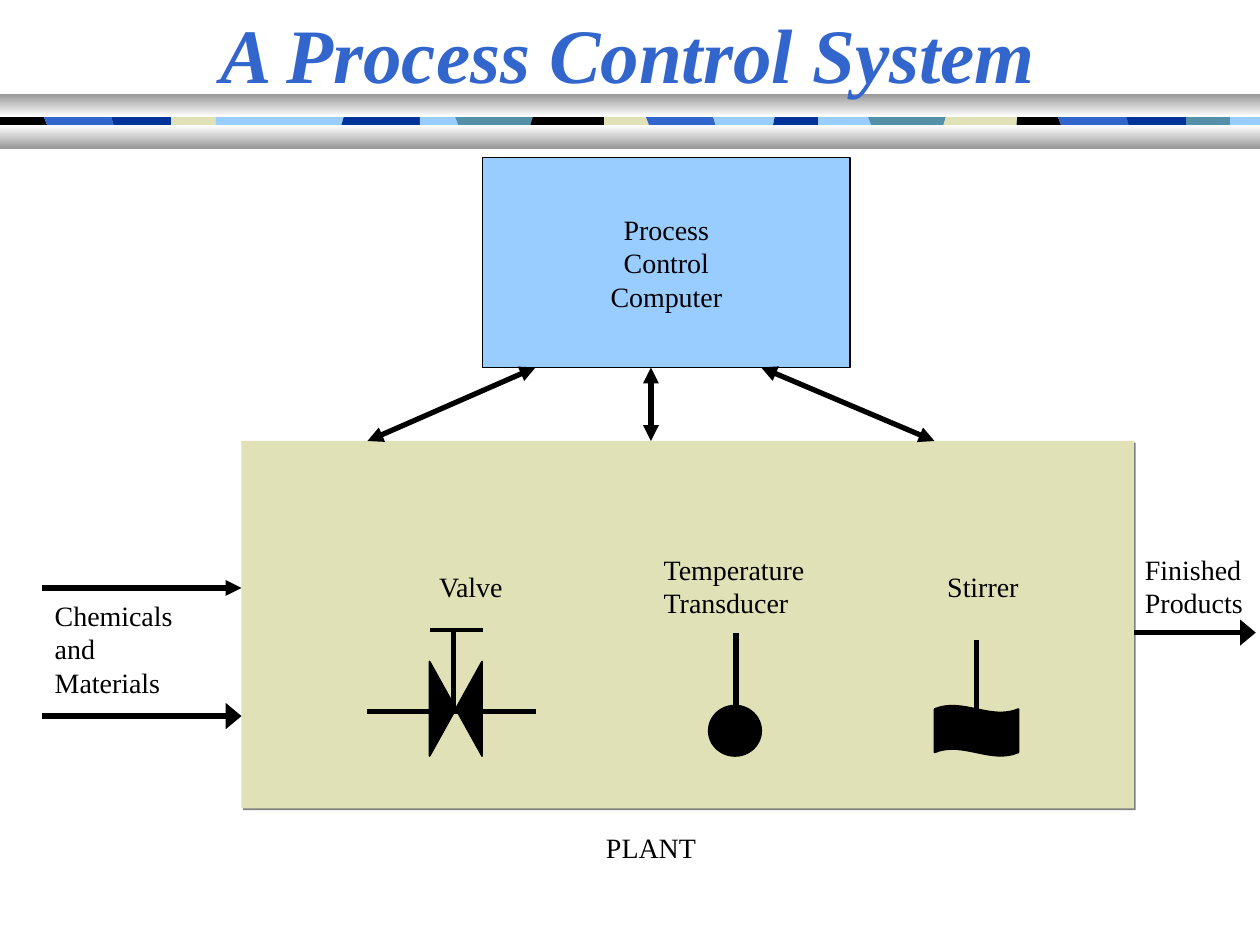
from dataclasses import dataclass

from lxml import etree
from pptx import Presentation
from pptx.dml.color import RGBColor
from pptx.enum.shapes import MSO_CONNECTOR, MSO_SHAPE
from pptx.enum.text import MSO_ANCHOR, MSO_AUTO_SIZE, PP_ALIGN
from pptx.oxml.ns import qn
from pptx.util import Pt

RECTANGLE = MSO_SHAPE.RECTANGLE
OVAL = MSO_SHAPE.OVAL
WAVE = MSO_SHAPE.WAVE
COLLATE = MSO_SHAPE.FLOWCHART_COLLATE
STRAIGHT = MSO_CONNECTOR.STRAIGHT
LEFT, CENTER = PP_ALIGN.LEFT, PP_ALIGN.CENTER
TOP, MIDDLE = MSO_ANCHOR.TOP, MSO_ANCHOR.MIDDLE
NO_FIT = MSO_AUTO_SIZE.NONE

FONT = "Times New Roman"
BLACK, WHITE, GRAY = "000000", "FFFFFF", "999999"
BLUE, NAVY, SKY = "3366CC", "003399", "99CCFF"
TEAL, SAND = "5490A8", "E1E1B7"
RIBBON_TOP, RIBBON_HEIGHT = 61.2, 20.2


@dataclass
class Segment:
    """A ribbon piece: its colour, the middle of its right edge and that edge's lean."""
    color: str
    right: float
    lean: float = 0


@dataclass
class Line:
    x1: float
    y1: float
    x2: float
    y2: float
    width: float = 3
    start_arrow: bool = False
    end_arrow: bool = False
    arrow_width: str = "med"


@dataclass
class Label:
    text: str
    left: float
    top: float
    width: float
    height: float


SEGMENTS = [
    Segment(BLACK, 26.9, 8), Segment(BLUE, 64.9, 6), Segment(NAVY, 97.6),
    Segment(SAND, 123.1), Segment(SKY, 195.2, -6), Segment(NAVY, 240),
    Segment(SKY, 261.8, 8), Segment(TEAL, 303.2, -6), Segment(BLACK, 345.2),
    Segment(SAND, 370.9, 8), Segment(BLUE, 408.9, 6), Segment(SKY, 441.8, -4),
    Segment(NAVY, 467.5), Segment(SKY, 497.8, 8), Segment(TEAL, 539.2, -6),
    Segment(SAND, 580.9, -2), Segment(BLACK, 606.3, 8), Segment(BLUE, 644.9, 6),
    Segment(NAVY, 677.8), Segment(TEAL, 703.1), Segment(SKY, 720),
]
VALVE_LINES = [
    Line(210, 406.5, 258, 406.5), Line(258, 406.5, 306, 406.5),
    Line(259, 360, 259, 406.5), Line(245.8, 360, 275.8, 360, width=2.25),
]
TRANSDUCER_LINE = Line(420.6, 403.2, 420.6, 361.5)
STIRRER_LINE = Line(558, 408, 558, 366)
FLOW_LINES = [
    Line(24, 336, 138, 336, end_arrow=True),
    Line(24, 409.2, 138, 409.2, end_arrow=True, arrow_width="lg"),
    Line(306, 210, 210, 252, start_arrow=True, end_arrow=True),
    Line(372, 210, 372, 252, start_arrow=True, end_arrow=True),
    Line(435, 210, 534, 252, start_arrow=True, end_arrow=True),
    Line(648, 361.5, 717.6, 361.5, end_arrow=True, arrow_width="lg"),
]
LABELS = [
    Label("Chemicals\nand\nMaterials", 24.2, 338.4, 83, 64.8),
    Label("Valve", 243.8, 321.8, 54, 26.6),
    Label("Temperature\nTransducer", 372.2, 312, 97, 46),
    Label("Stirrer", 534.2, 321.8, 57, 26.6),
    Label("Finished\nProducts", 647.2, 312, 72, 46),
    Label("PLANT", 339.2, 471, 68, 26.6),
]


def rgb(color: str) -> RGBColor:
    return RGBColor.from_string(color)


def paint(shape, fill: str, outline: str | None = None) -> None:
    shape.shadow.inherit = False
    shape.fill.solid()
    shape.fill.fore_color.rgb = rgb(fill)
    if outline is None:
        shape.line.fill.background()
    else:
        shape.line.color.rgb = rgb(outline)
        shape.line.width = Pt(1)


def add_preset(slide, kind, left: float, top: float, width: float, height: float,
               fill: str, outline: str | None = None):
    shape = slide.shapes.add_shape(kind, Pt(left), Pt(top), Pt(width), Pt(height))
    paint(shape, fill, outline)
    return shape


def write_text(shape, text: str, *, size: float = 16, color: str = BLACK,
               bold: bool = False, italic: bool = False, align=LEFT,
               anchor=TOP, wrap: bool = True) -> None:
    frame = shape.text_frame
    frame.word_wrap = wrap
    frame.auto_size = NO_FIT
    frame.vertical_anchor = anchor
    frame.text = text
    for paragraph in frame.paragraphs:
        paragraph.alignment = align
        font = paragraph.font
        font.name, font.size = FONT, Pt(size)
        font.bold, font.italic = bold, italic
        font.color.rgb = rgb(color)


def add_line(slide, line: Line) -> None:
    connector = slide.shapes.add_connector(
        STRAIGHT, Pt(line.x1), Pt(line.y1), Pt(line.x2), Pt(line.y2))
    connector.line.color.rgb = rgb(BLACK)
    connector.line.width = Pt(line.width)
    outline = connector.line._get_or_add_ln()
    for tag, wanted in (("a:headEnd", line.start_arrow), ("a:tailEnd", line.end_arrow)):
        if wanted:
            etree.SubElement(outline, qn(tag), type="triangle",
                             w=line.arrow_width, len="med")
    etree.SubElement(connector._element.spPr, qn("a:effectLst"))


def add_ribbon(slide) -> None:
    bottom = RIBBON_TOP + RIBBON_HEIGHT
    previous = Segment(BLACK, 0)
    for segment in SEGMENTS:
        corners = [
            (previous.right - previous.lean / 2, RIBBON_TOP),
            (segment.right - segment.lean / 2, RIBBON_TOP),
            (segment.right + segment.lean / 2, bottom),
            (previous.right + previous.lean / 2, bottom),
        ]
        points = [(Pt(x), Pt(y)) for x, y in corners]
        builder = slide.shapes.build_freeform(*points[0])
        builder.add_line_segments(points[1:], close=True)
        paint(builder.convert_to_shape(), segment.color)
        previous = segment


def add_bar(slide, top: float, colors: tuple[str, str]) -> None:
    bar = add_preset(slide, RECTANGLE, 0, top, 720, 13, WHITE)
    bar.fill.gradient()
    bar.fill.gradient_angle = 270
    for stop, color in zip(bar.fill.gradient_stops, colors):
        stop.color.rgb = rgb(color)


def add_hard_shadow(shape) -> None:
    effects = shape._element.spPr.find(qn("a:effectLst"))
    shadow = etree.SubElement(effects, qn("a:outerShdw"), blurRad="0",
                              dist=str(Pt(1.4)), dir="2700000", algn="ctr",
                              rotWithShape="0")
    etree.SubElement(shadow, qn("a:srgbClr"), val="808080")


def main() -> None:
    presentation = Presentation()
    presentation.slide_width, presentation.slide_height = Pt(720), Pt(540)
    slide = presentation.slides.add_slide(presentation.slide_layouts[6])

    # Coloured ribbon between two metallic bars
    add_ribbon(slide)
    add_bar(slide, 53.7, (GRAY, WHITE))
    add_bar(slide, 71.7, (WHITE, GRAY))

    # Plant and title
    plant = add_preset(slide, RECTANGLE, 138, 252, 510, 210, SAND)
    add_hard_shadow(plant)
    title = slide.shapes.add_textbox(0, 0, Pt(717.8), Pt(60))
    write_text(title, "A Process Control System", size=44, color=BLUE, bold=True,
               italic=True, align=CENTER, anchor=MIDDLE)

    # Valve
    valve = add_preset(slide, COLLATE, 233.5, 390, 54, 30, BLACK, BLACK)
    valve.rotation = 270
    for line in VALVE_LINES:
        add_line(slide, line)

    # Temperature transducer
    add_preset(slide, OVAL, 405, 403.2, 30, 28.8, BLACK, BLACK)
    add_line(slide, TRANSDUCER_LINE)

    # Stirrer
    blade = add_preset(slide, WAVE, 534, 403.2, 48, 28.8, BLACK, BLACK)
    blade.adjustments[0] = 0.07
    add_line(slide, STIRRER_LINE)

    # Computer, flows and labels
    computer = add_preset(slide, RECTANGLE, 275.8, 90, 210, 120, SKY, BLACK)
    write_text(computer, "Process\nControl\nComputer", align=CENTER, anchor=MIDDLE,
               wrap=False)
    for line in FLOW_LINES:
        add_line(slide, line)
    for label in LABELS:
        box = slide.shapes.add_textbox(Pt(label.left), Pt(label.top),
                                       Pt(label.width), Pt(label.height))
        write_text(box, label.text)

    presentation.save("out.pptx")


if __name__ == "__main__":
    main()
